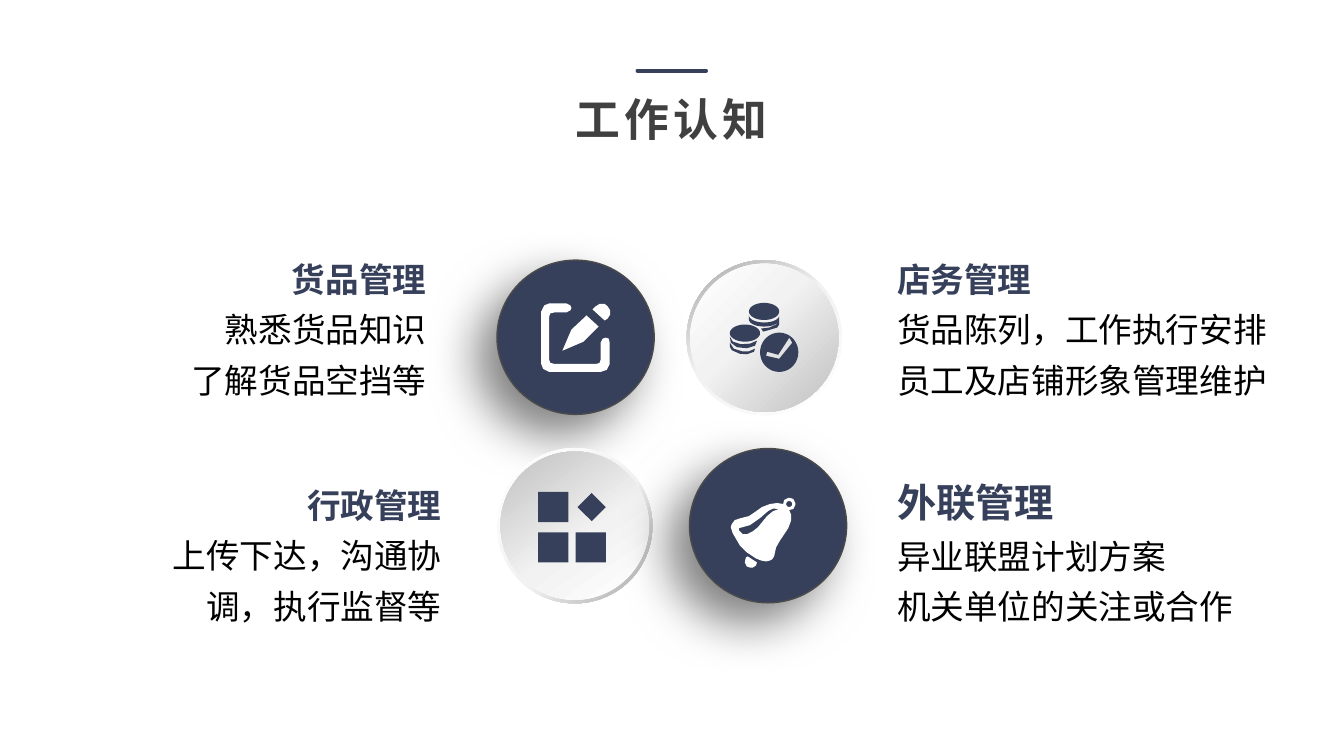
from math import cos, pi, sin

from lxml.etree import SubElement
from pptx import Presentation
from pptx.dml.color import RGBColor
from pptx.enum.shapes import MSO_CONNECTOR, MSO_SHAPE
from pptx.enum.text import MSO_ANCHOR, MSO_AUTO_SIZE, PP_ALIGN
from pptx.oxml.ns import qn
from pptx.util import Pt

NAVY = RGBColor(0x36, 0x40, 0x5A)
RIM = RGBColor(0x4B, 0x4B, 0x4B)
TITLE_GREY = RGBColor(0x40, 0x40, 0x40)
BLACK = RGBColor(0, 0, 0)
WHITE = RGBColor(0xFF, 0xFF, 0xFF)
PALE = RGBColor(0xF2, 0xF2, 0xF2)
SILVER = RGBColor(0xBF, 0xBF, 0xBF)
STEEL = RGBColor(0xA6, 0xA6, 0xA6)
FONT = "Noto Sans CJK SC"
ICON_UNIT = 0.72


def oval(center_x, center_y, radius_x, radius_y, count=36):
    angles = [2 * pi * step / count for step in range(count)]
    return [(center_x + radius_x * cos(a), center_y + radius_y * sin(a)) for a in angles]


def band(center_x, top, radius_x, radius_y, thickness):
    upper = oval(center_x, top, radius_x, radius_y)[:19]
    return upper + [(x, y + thickness) for x, y in reversed(upper)]


def square(left, top, size=30):
    return [(left, top), (left + size, top), (left + size, top + size), (left, top + size)]


PENCIL_ICON = [
    [(25, 1), (8, 1), (3, 3), (0, 9), (0, 61), (2, 66), (8, 69), (59, 69), (65, 67), (68, 61),
     (68, 40), (67, 36), (64, 35), (61, 36), (59, 40), (59, 57), (58, 60), (55, 61), (13, 61),
     (9, 60), (8, 57), (8, 14), (9, 11), (13, 10), (25, 10), (29, 8), (30, 5.5), (29, 3)],
    [(57, 24), (42, 39), (21, 48), (30, 27), (45, 13)],
    [(66, 16), (63, 18), (51, 7), (54, 4), (58, 1.5), (63, 1.5), (66, 4), (68.5, 8), (68.5, 12)],
]
COINS_ICON = [
    oval(35, 9, 15, 8.5),
    band(35, 13, 15, 7, 4),
    [(32, 26), (40, 25), (47, 22), (50, 18), (50, 22), (48, 25), (38, 28), (34, 29)],
    oval(16, 30.5, 15, 8.5),
    [(1, 34), (4, 39), (12, 41.5), (21, 41), (28, 38), (26, 43), (18, 45.5), (8, 44.5), (2, 40)],
    [(1, 40), (5, 46), (13, 48.5), (20, 48.5), (26, 46), (25, 49), (18, 51.5), (11, 51),
     (3, 47.5), (1, 44)],
    oval(50, 49.5, 19, 19.5),
    [(50, 56), (37, 53), (38, 49), (49, 52), (60, 35), (63, 40)],
]
TILES_ICON = [
    square(0, 0), square(0, 40), square(37, 40),
    [(53, 1), (67, 15), (53, 29), (39, 15)],
]
BELL_ICON = [
    [(59, 0), (57, 0), (53, 2), (52, 6), (46, 5), (39, 6), (31, 9), (24, 14), (18, 18), (10, 20),
     (4, 22), (1, 26), (0, 29), (2, 35), (9, 47), (16, 54), (25, 60), (30, 62), (35, 63),
     (39, 62), (41, 61), (43, 58), (45, 49), (49, 42), (57, 30), (60, 22), (60, 17), (58, 12),
     (62, 11), (64, 7), (64, 5), (62, 1)],
    [(48, 11), (42, 13), (36, 18), (27, 29), (22, 33), (16, 36), (12, 36), (8, 32), (8, 30),
     (19, 27), (29, 20), (37, 13), (42, 10.5), (47, 11)],
    oval(58, 6, 3, 3),
    [(26, 64), (17, 58), (15, 59), (14, 64), (16, 68), (19, 69), (22, 69), (25, 67)],
]


def place(shape, box):
    for name, value in zip(("left", "top", "width", "height"), box):
        setattr(shape, name, Pt(value))


def format_run(run, color, **formats):
    for name, value in formats.items():
        setattr(run.font, name, value)
    run.font.name = FONT
    run.font.color.rgb = color
    SubElement(run.font._element, qn("a:ea")).set("typeface", FONT)


def add_title(slide, box, text):
    left, top, width, height = box
    title = slide.shapes.title
    place(title, box)
    frame = title.text_frame
    frame.word_wrap = False
    frame.auto_size = MSO_AUTO_SIZE.NONE
    frame.vertical_anchor = MSO_ANCHOR.MIDDLE
    paragraph = frame.paragraphs[0]
    paragraph.alignment = PP_ALIGN.CENTER
    run = paragraph.add_run()
    run.text = text
    format_run(run, TITLE_GREY, size=Pt(32), bold=True)
    run.font._element.set("spc", "300")
    middle, rule_top = left + width / 2, top - 11.5
    rule = slide.shapes.add_connector(
        MSO_CONNECTOR.STRAIGHT, Pt(middle - 24.5), Pt(rule_top), Pt(middle + 24.5), Pt(rule_top))
    rule.line.color.rgb = NAVY
    rule.line.width = Pt(2.75)
    rule.line._get_or_add_ln().set("cap", "rnd")
    SubElement(rule._element.spPr, qn("a:effectLst"))


def add_duty(placeholder, box, lines, heading_size, alignment):
    place(placeholder, box)
    frame = placeholder.text_frame
    frame.word_wrap = True
    frame.auto_size = MSO_AUTO_SIZE.NONE
    frame.vertical_anchor = MSO_ANCHOR.TOP
    for index, text in enumerate(lines):
        paragraph = frame.paragraphs[0] if index == 0 else frame.add_paragraph()
        properties = paragraph._p.get_or_add_pPr()
        properties.set("marL", "0")
        properties.set("indent", "0")
        SubElement(properties, qn("a:buNone"))
        formats = {"alignment": alignment, "line_spacing": 1.25, "space_before": Pt(0)}
        for name, value in formats.items():
            setattr(paragraph, name, value)
        run = paragraph.add_run()
        run.text = text
        heading = index == 0
        format_run(run, NAVY if heading else BLACK,
                   size=Pt(heading_size if heading else 24), bold=heading)


def add_circle(slide, box):
    circle = slide.shapes.add_shape(MSO_SHAPE.OVAL, *(Pt(value) for value in box))
    circle.shadow.inherit = False
    return circle


def add_dark_disc(slide, box):
    disc = add_circle(slide, box)
    disc.fill.solid()
    disc.fill.fore_color.rgb = NAVY
    disc.line.color.rgb = RIM
    disc.line.width = Pt(1)
    effects = disc._element.spPr.find(qn("a:effectLst"))
    shadow = SubElement(effects, qn("a:outerShdw"), blurRad=str(Pt(35)), dist=str(Pt(20)),
                        dir=str(135 * 60000), algn="ctr", rotWithShape="0")
    color = SubElement(shadow, qn("a:srgbClr"), val=str(BLACK))
    SubElement(color, qn("a:alpha"), val="50000")


def add_light_disc(slide, box, rim_angle, face_angle):
    left, top, width, height = box
    inset = 2.5
    face = (left + inset, top + inset, width - 2 * inset, height - 2 * inset)
    layers = [(box, rim_angle, 55, STEEL), (face, face_angle, 43, SILVER)]
    for layer_box, angle, middle, end in layers:
        circle = add_circle(slide, layer_box)
        circle.line.fill.background()
        circle.fill.gradient()
        gradient = circle._element.spPr.find(qn("a:gradFill"))
        for child in list(gradient):
            gradient.remove(child)
        stops = SubElement(gradient, qn("a:gsLst"))
        for position, color in ((0, WHITE), (middle, PALE), (100, end)):
            stop = SubElement(stops, qn("a:gs"), pos=str(position * 1000))
            SubElement(stop, qn("a:srgbClr"), val=str(color))
        SubElement(gradient, qn("a:lin"), ang=str(angle * 60000), scaled="0")


def add_icon(slide, left, top, contours, color):
    outlines = [[(Pt(left + x * ICON_UNIT), Pt(top + y * ICON_UNIT)) for x, y in contour]
                for contour in contours]
    builder = slide.shapes.build_freeform(*outlines[0][0])
    for outline in outlines:
        builder.move_to(*outline[0])
        builder.add_line_segments(outline[1:], close=True)
    icon = builder.convert_to_shape()
    icon.shadow.inherit = False
    icon.fill.solid()
    icon.fill.fore_color.rgb = color
    icon.line.fill.background()


def add_duties_slide(presentation):
    slide = presentation.slides.add_slide(presentation.slide_layouts[4])
    add_title(slide, (400.3, 62, 159.1, 46), "工作认知")
    duties = [
        ((114.5, 174.2, 197.3, 113.8), ["货品管理", "熟悉货品知识", "了解货品空挡等"], 24, PP_ALIGN.RIGHT),
        ((114.5, 335.5, 208.1, 113.8), ["行政管理", "上传下达，沟通协调，执行监督等"], 24, PP_ALIGN.RIGHT),
        ((633.6, 174.2, 288, 113.8), ["店务管理", "货品陈列，工作执行安排", "员工及店铺形象管理维护"], 24, PP_ALIGN.JUSTIFY),
        ((633.6, 329.8, 257, 119.5), ["外联管理", "异业联盟计划方案", "机关单位的关注或合作"], 28, PP_ALIGN.LEFT),
    ]
    for index, duty in enumerate(duties, start=1):
        add_duty(slide.placeholders[index], *duty)
    add_dark_disc(slide, (355, 185.8, 112.3, 110.2))
    add_light_disc(slide, (355, 320, 111, 111), 45, 235)
    add_dark_disc(slide, (492.5, 320.4, 112.3, 110.2))
    add_light_disc(slide, (490.5, 185.8, 111, 111), 235, 45)
    add_icon(slide, 386.6, 216, PENCIL_ICON, WHITE)
    add_icon(slide, 520.6, 216, COINS_ICON, NAVY)
    add_icon(slide, 384.5, 351.4, TILES_ICON, NAVY)
    add_icon(slide, 522, 355.7, BELL_ICON, WHITE)


def main():
    presentation = Presentation()
    presentation.slide_width = Pt(960)
    presentation.slide_height = Pt(540)
    add_duties_slide(presentation)
    presentation.save("out.pptx")


if __name__ == "__main__":
    main()
